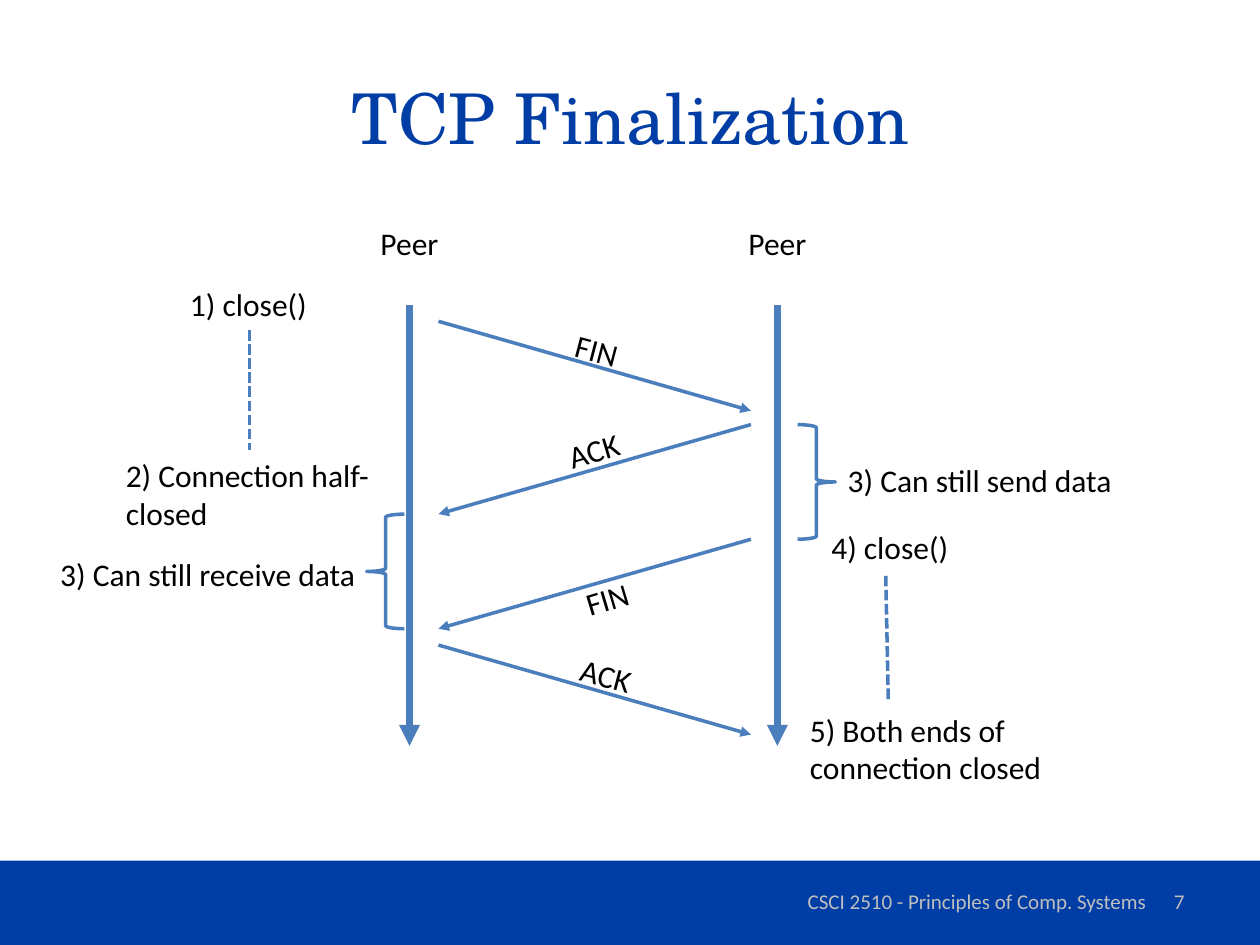
from lxml.etree import SubElement
from pptx import Presentation
from pptx.dml.color import RGBColor
from pptx.enum.dml import MSO_LINE
from pptx.enum.shapes import MSO_CONNECTOR, MSO_SHAPE
from pptx.enum.text import MSO_ANCHOR, PP_ALIGN
from pptx.oxml.ns import qn
from pptx.util import Inches, Pt

COLORS = {"band": "003DA5", "line": "4B7EBC", "text": "000000", "footer": "BFBFBF"}
BODY_FONT, TITLE_FONT = "Calibri", "TeX Gyre Schola"
WIDTH, HEIGHT = 10, 7.5
BAND_TOP = 6.83

TITLE = "TCP Finalization"
PEERS = [("Peer", 3.25), ("Peer", 6.17)]  # name, centre of its time line
TIMELINE_TOP, TIMELINE_BOTTOM = 2.42, 5.92
LEFT_END, RIGHT_END, MESSAGE_DROP = 3.48, 5.96, 0.71
TILT = {"right": 14.8, "left": -16.6}

# label, direction, top of arrow, label left, label top, label width
MESSAGES = [
    ("FIN", "right", 2.55, 4.47, 2.58, 0.54),
    ("ACK", "left", 3.37, 4.41, 3.37, 0.61),
    ("FIN", "left", 4.28, 4.55, 4.55, 0.54),
    ("ACK", "right", 5.12, 4.51, 5.16, 0.61),
]
# text, left, top, width, height
STEPS = [
    ("1) close()", 1.41, 2.21, 1.14, 0.4),
    ("2) Connection half-\vclosed", 0.9, 3.57, 2.17, 0.71),
    ("3) Can still receive data", 0.38, 4.36, 2.56, 0.4),
    ("3) Can still send data", 6.63, 3.61, 2.34, 0.4),
    ("4) close()", 6.5, 4.14, 1.14, 0.4),
    ("5) Both ends of\nconnection closed", 6.33, 5.59, 2.06, 0.71),
]
WAITS = [((1.98, 2.62), (1.98, 3.57)), ((7.03, 4.57), (7.05, 5.57))]
BRACES = [(6.33, 3.37, 0), (2.91, 4.08, 180)]  # left, top, rotation
# text, left, width, alignment
FOOTER = [
    ("CSCI 2510 - Principles of Comp. Systems", 6.17, 3.17, PP_ALIGN.CENTER),
    ("7", 7.17, 2.33, PP_ALIGN.RIGHT),
]


def color(name):
    return RGBColor.from_string(COLORS[name])


def style_text(text_frame, text, size, font, color_name, align):
    text_frame.text = text
    for paragraph in text_frame.paragraphs:
        paragraph.alignment = align
        for run in paragraph.runs:
            run.font.size = Pt(size)
            run.font.name = font
            run.font.color.rgb = color(color_name)


def add_text(slide, text, left, top, width, height=0.4, size=18,
             color_name="text", align=PP_ALIGN.LEFT, rotation=0):
    box = slide.shapes.add_textbox(*map(Inches, (left, top, width, height)))
    box.rotation = rotation
    box.text_frame.word_wrap = False
    style_text(box.text_frame, text, size, BODY_FONT, color_name, align)
    return box


def add_line(slide, start, end, width=2, arrow=False, dashed=False):
    connector = slide.shapes.add_connector(
        MSO_CONNECTOR.STRAIGHT, *map(Inches, (*start, *end)))
    connector.line.color.rgb = color("line")
    connector.line.width = Pt(width)
    if dashed:
        connector.line.dash_style = MSO_LINE.SQUARE_DOT
    properties = connector._element.spPr
    if arrow:
        SubElement(properties.find(qn("a:ln")), qn("a:tailEnd"), type="triangle")
    SubElement(properties, qn("a:effectLst"))


def add_frame(slide):
    """Title, bottom band and footer."""
    band = slide.shapes.add_shape(
        MSO_SHAPE.RECTANGLE, *map(Inches, (0, BAND_TOP, WIDTH, HEIGHT - BAND_TOP)))
    band.shadow.inherit = False
    band.fill.solid()
    band.fill.fore_color.rgb = color("band")
    band.line.fill.background()

    title = slide.shapes.title
    title.left, title.top, title.width, title.height = map(Inches, (0.5, 0.3, 9, 1.25))
    title.text_frame.vertical_anchor = MSO_ANCHOR.MIDDLE
    style_text(title.text_frame, TITLE, 40, TITLE_FONT, "band", PP_ALIGN.CENTER)

    for text, left, width, align in FOOTER:
        box = add_text(slide, text, left, 6.95, width, size=12,
                       color_name="footer", align=align)
        box.text_frame.word_wrap = True
        box.text_frame.vertical_anchor = MSO_ANCHOR.MIDDLE


def add_sequence(slide):
    """Peers with their time lines, and the messages between them."""
    for name, center in PEERS:
        add_line(slide, (center, TIMELINE_TOP), (center, TIMELINE_BOTTOM), 4, arrow=True)
        add_text(slide, name, center - 0.335, 1.73, 0.67, align=PP_ALIGN.CENTER)

    for label, direction, top, left, label_top, width in MESSAGES:
        ends = (LEFT_END, RIGHT_END) if direction == "right" else (RIGHT_END, LEFT_END)
        add_line(slide, (ends[0], top), (ends[1], top + MESSAGE_DROP), arrow=True)
        add_text(slide, label, left, label_top, width, rotation=TILT[direction])


def add_steps(slide):
    for step in STEPS:
        add_text(slide, *step)
    for start, end in WAITS:
        add_line(slide, start, end, dashed=True)
    for left, top, rotation in BRACES:
        brace = slide.shapes.add_shape(
            MSO_SHAPE.RIGHT_BRACE, *map(Inches, (left, top, 0.3, 0.91)))
        brace.shadow.inherit = False
        brace.rotation = rotation
        brace.fill.background()
        brace.line.color.rgb = color("line")
        brace.line.width = Pt(2)


def main():
    presentation = Presentation()
    presentation.slide_width, presentation.slide_height = Inches(WIDTH), Inches(HEIGHT)
    slide = presentation.slides.add_slide(presentation.slide_layouts[5])
    add_frame(slide)
    add_sequence(slide)
    add_steps(slide)
    presentation.save("out.pptx")


if __name__ == "__main__":
    main()
